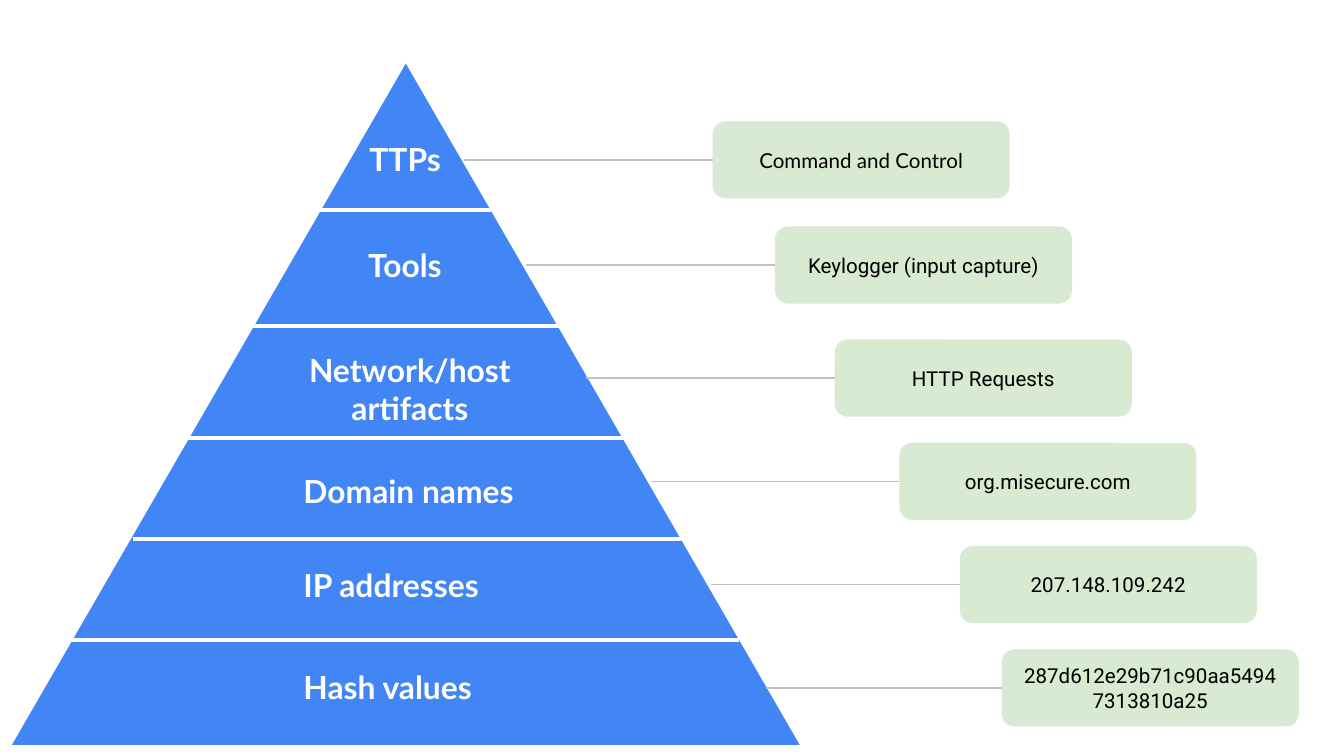
"""Build a slide with a six-level pyramid and an example beside each level."""
from dataclasses import dataclass

from lxml.etree import SubElement
from pptx import Presentation
from pptx.dml.color import RGBColor
from pptx.enum.shapes import MSO_CONNECTOR, MSO_SHAPE
from pptx.enum.text import MSO_ANCHOR, MSO_AUTO_SIZE, PP_ALIGN
from pptx.oxml.ns import qn
from pptx.util import Pt


@dataclass(frozen=True)
class Theme:
    blue: RGBColor = RGBColor(0x42, 0x85, 0xF4)
    green: RGBColor = RGBColor(0xD9, 0xEA, 0xD3)
    gray: RGBColor = RGBColor(0xC2, 0xC2, 0xC2)
    white: RGBColor = RGBColor(0xFF, 0xFF, 0xFF)
    black: RGBColor = RGBColor(0, 0, 0)
    head: str = "Lato"
    body: str = "Roboto"
    big: float = 17
    small: float = 11
    thick: float = 2.25
    thin: float = 0.75
    inset: float = 7.2


THEME = Theme()
BOX_W, BOX_H = 159.1, 41.3

RULES = [
    (171.4, 262.8, 112.6),
    (135.4, 300.2, 174.5),
    (100.1, 334.1, 234.7),
    (71.3, 365, 288.7),
    (38.2, 396, 342.7),
]

LABELS = [
    ("TTPs", 190.8, 67.7, 63.4, 35.3, PP_ALIGN.LEFT),
    ("Tools", 190.1, 124.6, 63.4, 35.3, PP_ALIGN.LEFT),
    ("Network/host artifacts", 141.1, 180.9, 157, 55.4, PP_ALIGN.CENTER),
    ("Domain names", 155.5, 245.5, 161.3, 35.3, PP_ALIGN.LEFT),
    ("IP addresses", 155.5, 295.9, 161.3, 35.3, PP_ALIGN.LEFT),
    ("Hash values", 155.5, 350.6, 161.3, 35.3, PP_ALIGN.LEFT),
]

NOTES = [
    ("Command and Control", THEME.head, 248.4, 381.8, 65),
    ("Keylogger (input capture)", THEME.body, 281.7, 415.2, 121.3),
    ("HTTP Requests", THEME.body, 313.9, 447.2, 181.9),
    ("org.misecure.com", THEME.body, 348.5, 481.8, 237.2),
    ("207.148.109.242", THEME.body, 380.8, 514.2, 292.5),
    ("287d612e29b71c90aa54947313810a25", THEME.body, 410.4, 536.7, 347.9),
]


def set_text(shape, text, font, size, color, align, bold=False):
    frame = shape.text_frame
    frame.text = text
    frame.word_wrap = True
    frame.margin_left = frame.margin_right = Pt(THEME.inset)
    frame.margin_top = frame.margin_bottom = Pt(THEME.inset)
    for para in frame.paragraphs:
        para.alignment = align
        for run in para.runs:
            run.font.name = font
            run.font.size = Pt(size)
            run.font.bold = bold
            run.font.color.rgb = color


def set_line(line, color, width):
    line.line.color.rgb = color
    line.line.width = Pt(width)
    SubElement(line._element.spPr, qn("a:effectLst"))


def add_solid(shapes, kind, left, top, width, height, color):
    solid = shapes.add_shape(kind, Pt(left), Pt(top), Pt(width), Pt(height))
    solid.shadow.inherit = False
    solid.fill.solid()
    solid.fill.fore_color.rgb = color
    return solid


def add_peak(slide):
    group = slide.shapes.add_group_shape().shapes
    peak = add_solid(group, MSO_SHAPE.ISOSCELES_TRIANGLE,
                     4.3, 31.7, 426.2, 368.6, THEME.blue)
    peak.line.color.rgb = THEME.white
    peak.line.width = Pt(THEME.thick)
    for left, right, top in RULES:
        rule = group.add_connector(MSO_CONNECTOR.STRAIGHT,
                                   Pt(left), Pt(top), Pt(right), Pt(top))
        set_line(rule, THEME.white, THEME.thick)


def add_label(slide, text, left, top, width, height, align):
    label = slide.shapes.add_textbox(Pt(left), Pt(top), Pt(width), Pt(height))
    set_text(label, text, THEME.head, THEME.big, THEME.white, align, True)
    label.text_frame.auto_size = MSO_AUTO_SIZE.SHAPE_TO_FIT_TEXT


def add_note(slide, text, font, start, left, top):
    mid = Pt(top + BOX_H / 2)
    link = slide.shapes.add_connector(MSO_CONNECTOR.ELBOW,
                                      Pt(start), mid, Pt(left), mid)
    set_line(link, THEME.gray, THEME.thin)
    box = add_solid(slide.shapes, MSO_SHAPE.ROUNDED_RECTANGLE,
                    left, top, BOX_W, BOX_H, THEME.green)
    box.line.fill.background()
    set_text(box, text, font, THEME.small, THEME.black, PP_ALIGN.CENTER)
    box.text_frame.vertical_anchor = MSO_ANCHOR.MIDDLE
    link.end_connect(box, 1)


def main():
    deck = Presentation()
    deck.slide_width, deck.slide_height = Pt(720), Pt(405)
    slide = deck.slides.add_slide(deck.slide_layouts[6])
    add_peak(slide)
    for label in LABELS:
        add_label(slide, *label)
    for note in NOTES:
        add_note(slide, *note)
    deck.save("out.pptx")


if __name__ == "__main__":
    main()
